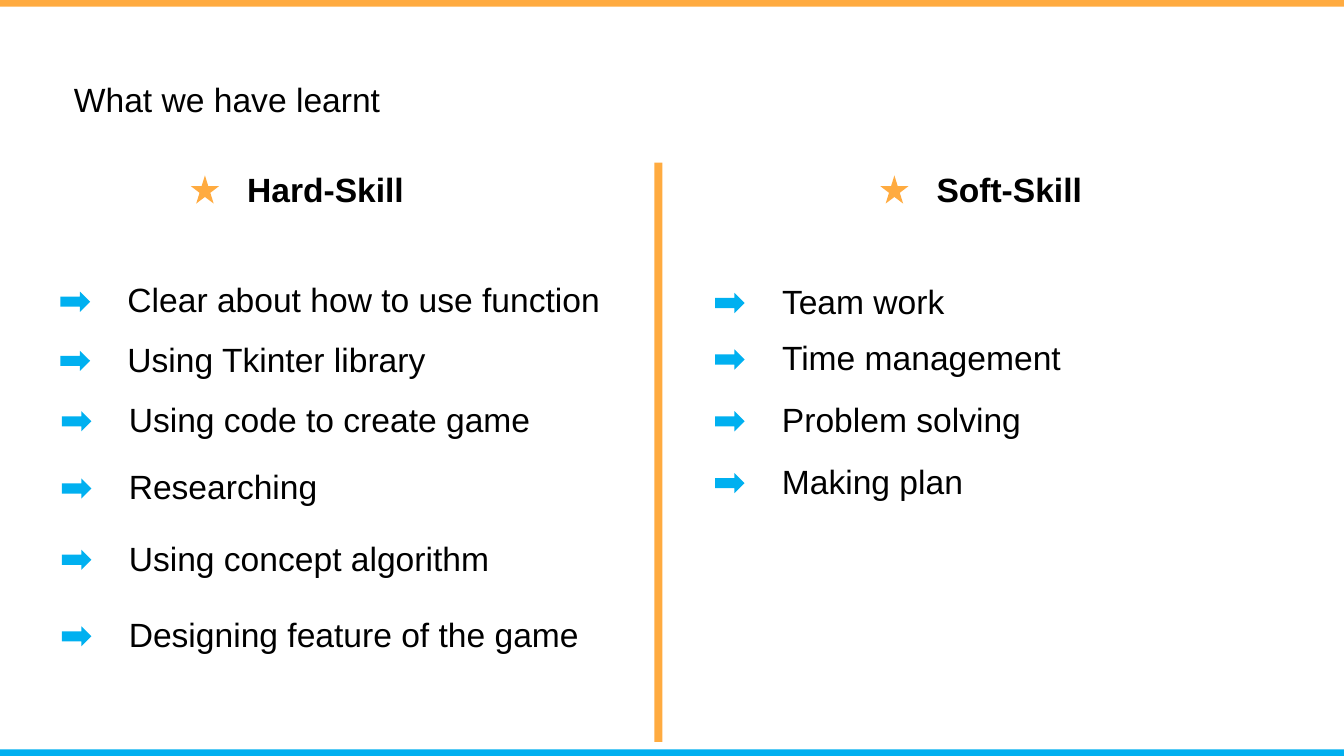
"""Build a two-column slide of hard and soft skills learnt."""
from pptx import Presentation
from pptx.dml.color import RGBColor
from pptx.enum.shapes import MSO_SHAPE
from pptx.enum.text import MSO_ANCHOR, PP_ALIGN
from pptx.util import Inches, Pt

ORANGE = RGBColor(0xFF, 0xAB, 0x40)
BLUE = RGBColor(0x00, 0xB0, 0xF0)
BLACK = RGBColor(0x00, 0x00, 0x00)
BAR, STAR, ARROW = MSO_SHAPE.RECTANGLE, MSO_SHAPE.STAR_5_POINT, MSO_SHAPE.RIGHT_ARROW
TOP, LEFT = MSO_ANCHOR.TOP, PP_ALIGN.LEFT

WIDTH = 10
HEIGHT = WIDTH * 9 / 16
BAND = 0.05
LINE_HEIGHT = 0.4
HEADING_TOP = 1.21
STAR_SIZE, STAR_GAP = 0.21, 0.32
ARROW_WIDTH, ARROW_HEIGHT, ARROW_GAP, ARROW_DROP = 0.22, 0.15, 0.4, 0.14

TITLE = ("What we have learnt", 2.5)
COLUMNS = [
    {
        "heading": ("Hard-Skill", 1.42, 1.38),
        "skills": [
            ("Clear about how to use function", 0.45, 2.03, 3.75),
            ("Using Tkinter library", 0.45, 2.47, 2.45),
            ("Using code to create game", 0.46, 2.92, 3.22),
            ("Researching", 0.46, 3.42, 1.62),
            ("Using concept algorithm", 0.46, 3.95, 2.98),
            ("Designing feature of the game", 0.46, 4.52, 3.58),
        ],
    },
    {
        "heading": ("Soft-Skill", 6.55, 1.3),
        "skills": [
            ("Team work", 5.32, 2.04, 1.45),
            ("Time management", 5.32, 2.46, 2.31),
            ("Problem solving", 5.32, 2.92, 2),
            ("Making plan", 5.32, 3.38, 1.56),
        ],
    },
]


def add_mark(slide, kind, left, top, width, height, color):
    mark = slide.shapes.add_shape(kind, *map(Inches, (left, top, width, height)))
    mark.shadow.inherit = False
    mark.fill.solid()
    mark.fill.fore_color.rgb = color
    mark.line.fill.background()


def write_line(box, text, bold=False):
    frame = box.text_frame
    frame.word_wrap = False
    frame.vertical_anchor = TOP
    para = frame.paragraphs[0]
    para.alignment = LEFT
    span = para.add_run()
    span.text = text
    span.font.name = "Arial"
    span.font.size = Pt(18)
    span.font.bold = bold
    span.font.color.rgb = BLACK


def add_line(slide, text, left, top, width, bold=False):
    box = slide.shapes.add_textbox(*map(Inches, (left, top, width, LINE_HEIGHT)))
    write_line(box, text, bold)


def add_column(slide, column):
    heading, left, width = column["heading"]
    star_top = HEADING_TOP + (LINE_HEIGHT - STAR_SIZE) / 2
    add_mark(slide, STAR, left, star_top, STAR_SIZE, STAR_SIZE, ORANGE)
    add_line(slide, heading, left + STAR_GAP, HEADING_TOP, width, True)
    for skill, left, top, width in column["skills"]:
        add_mark(slide, ARROW, left, top + ARROW_DROP, ARROW_WIDTH, ARROW_HEIGHT, BLUE)
        add_line(slide, skill, left + ARROW_GAP, top, width)


def main():
    deck = Presentation()
    deck.slide_width, deck.slide_height = Inches(WIDTH), Inches(HEIGHT)
    page = deck.slides.add_slide(deck.slide_layouts[5])

    title = page.shapes.title
    text, width = TITLE
    title.left, title.top = Inches(0.45), Inches(0.54)
    title.width, title.height = Inches(width), Inches(LINE_HEIGHT)
    write_line(title, text)

    add_mark(page, BAR, 0, 0, WIDTH, BAND, ORANGE)
    add_mark(page, BAR, 0, HEIGHT - BAND, WIDTH, BAND, BLUE)
    add_mark(page, BAR, 4.87, HEADING_TOP, 0.06, 4.31, ORANGE)
    for column in COLUMNS:
        add_column(page, column)
    deck.save("out.pptx")


if __name__ == "__main__":
    main()
